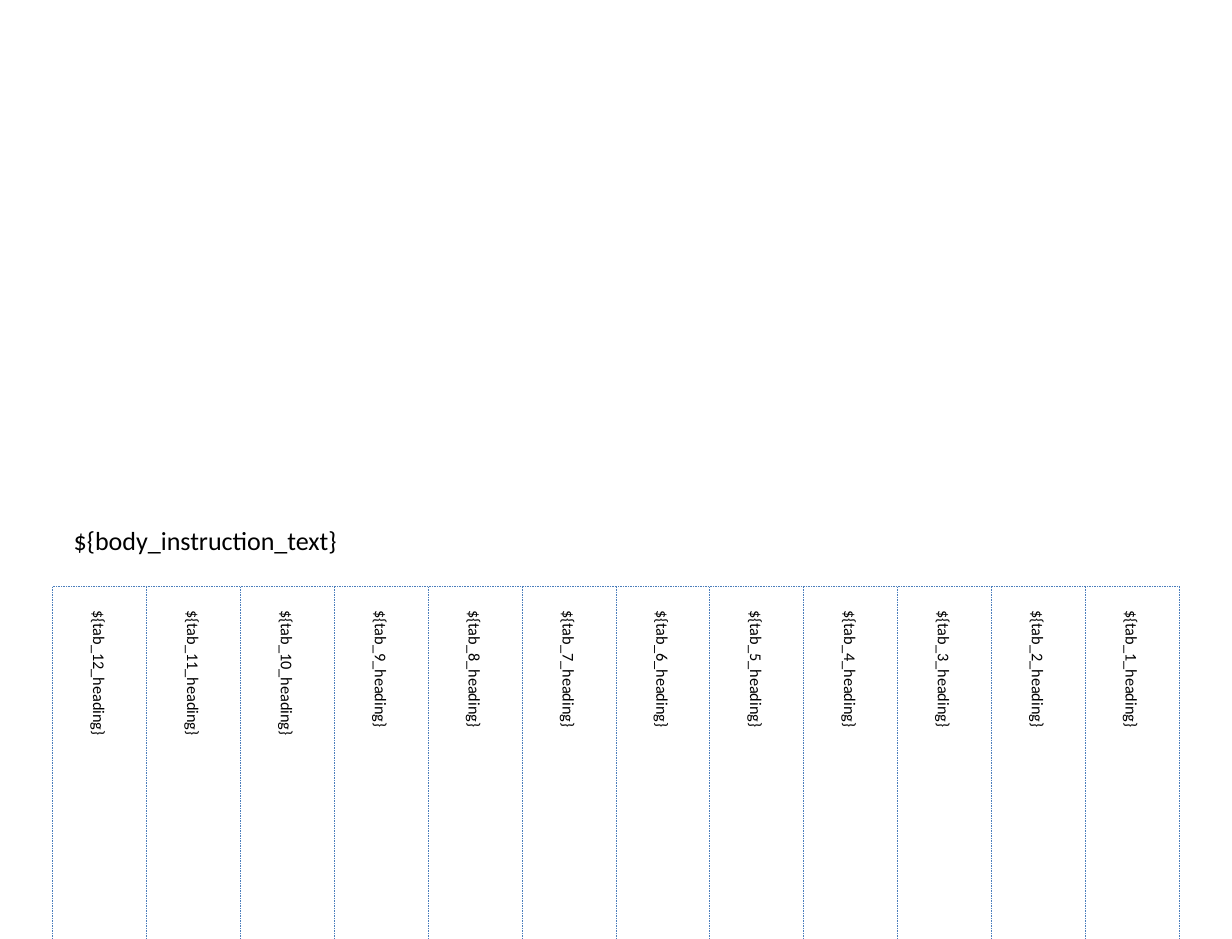
from pptx import Presentation
from pptx.dml.color import RGBColor
from pptx.enum.dml import MSO_LINE
from pptx.enum.shapes import MSO_CONNECTOR
from pptx.enum.text import MSO_ANCHOR
from pptx.oxml.ns import qn
from pptx.util import Inches, Pt
from lxml import etree

STRAIGHT = MSO_CONNECTOR.STRAIGHT
DOTS = MSO_LINE.ROUND_DOT
MIDDLE = MSO_ANCHOR.MIDDLE
HUES = {"ink": "000000", "rule": "4B7EBC"}
WIDE, HIGH = 10.5, 8
TABS, STEP = 12, 0.8
LEFT, TOP = (WIDE - TABS * STEP) / 2, 5
RIGHT = LEFT + TABS * STEP

deck = Presentation()
deck.slide_width, deck.slide_height = Inches(WIDE), Inches(HIGH)
slide = deck.slides.add_slide(deck.slide_layouts[6])


def add_text(x, y, w, h, words, size):
    box = slide.shapes.add_textbox(Inches(x), Inches(y), Inches(w), Inches(h))
    frame = box.text_frame
    frame.word_wrap = True
    run = frame.paragraphs[0].add_run()
    run.text = words
    run.font.name = "Calibri"
    run.font.size = Pt(size)
    run.font.color.rgb = RGBColor.from_string(HUES["ink"])
    return frame


def add_rule(x1, y1, x2, y2):
    rule = slide.shapes.add_connector(
        STRAIGHT, Inches(x1), Inches(y1), Inches(x2), Inches(y2))
    rule.line.color.rgb = RGBColor.from_string(HUES["rule"])
    rule.line.width = Pt(0.5)
    rule.line.dash_style = DOTS
    etree.SubElement(rule._element.spPr, qn("a:effectLst"))


for col in range(TABS):
    label = f"${{tab_{TABS - col}_heading}}"
    frame = add_text(LEFT + col * STEP, TOP, STEP, HIGH - TOP, label, 10)
    frame.word_wrap = False
    frame.vertical_anchor = MIDDLE
    frame.margin_left = frame.margin_right = Inches(0.05)
    frame.margin_top, frame.margin_bottom = Inches(0.2), 0
    frame._txBody.bodyPr.set("vert", "vert")

add_rule(LEFT, TOP, RIGHT, TOP)
for col in range(TABS + 1):
    x = LEFT + col * STEP
    add_rule(x, TOP, x, HIGH)

add_text(0.53, 4.42, WIDE * 0.9, 0.53, "${body_instruction_text}", 16)

deck.save("out.pptx")
